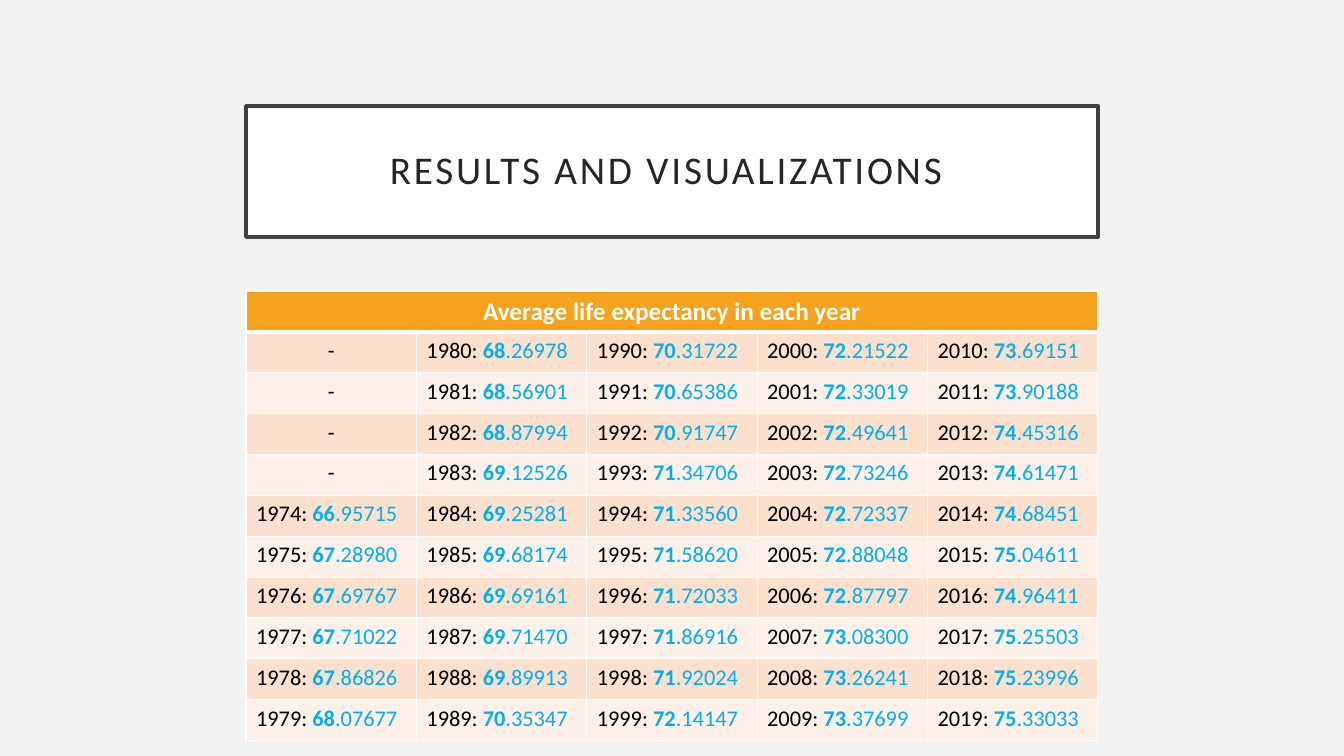
import pptx
import pptx.dml.color
import pptx.enum.shapes
import pptx.enum.text
import pptx.oxml.ns
import pptx.util
from lxml import etree

RGBColor = pptx.dml.color.RGBColor
Align = pptx.enum.text.PP_ALIGN
Anchor = pptx.enum.text.MSO_ANCHOR

BACKGROUND = RGBColor(0xF2, 0xF2, 0xF2)
WHITE = RGBColor(0xFF, 0xFF, 0xFF)
BLACK = RGBColor(0x00, 0x00, 0x00)
TITLE_TEXT = RGBColor(0x26, 0x26, 0x26)
TITLE_LINE = RGBColor(0x40, 0x40, 0x40)
HEADER_FILL = RGBColor(0xF6, 0xA2, 0x1D)
BANDS = (RGBColor(0xFB, 0xE0, 0xCD), RGBColor(0xFD, 0xF0, 0xE8))
VALUE_TEXT = RGBColor(0x00, 0xB0, 0xF0)

EMU_PER_PX = 914400 / 100.8
LEFT, WIDTH = 246, 852

# First year of each column and its values; the first column starts late
LIFE_EXPECTANCY = {
    1970: ["-", "-", "-", "-", "66.95715",
           "67.28980", "67.69767", "67.71022", "67.86826", "68.07677"],
    1980: ["68.26978", "68.56901", "68.87994", "69.12526", "69.25281",
           "69.68174", "69.69161", "69.71470", "69.89913", "70.35347"],
    1990: ["70.31722", "70.65386", "70.91747", "71.34706", "71.33560",
           "71.58620", "71.72033", "71.86916", "71.92024", "72.14147"],
    2000: ["72.21522", "72.33019", "72.49641", "72.73246", "72.72337",
           "72.88048", "72.87797", "73.08300", "73.26241", "73.37699"],
    2010: ["73.69151", "73.90188", "74.45316", "74.61471", "74.68451",
           "75.04611", "74.96411", "75.25503", "75.23996", "75.33033"],
}


def px(length):
    return pptx.util.Emu(round(length * EMU_PER_PX))


class SlideBuilder:
    font = "Calibri"

    def __init__(self, slide):
        self.slide = slide

    def background(self, color):
        fill = self.slide.background.fill
        fill.solid()
        fill.fore_color.rgb = color

    def run(self, paragraph, text, size, color, bold=False):
        run = paragraph.add_run()
        run.text = text
        run.font.name = self.font
        run.font.size = pptx.util.Pt(size)
        run.font.bold = bold
        run.font.color.rgb = color
        return run

    def title(self, text, left, top, width, height):
        box = self.slide.shapes.add_shape(
            pptx.enum.shapes.MSO_SHAPE.RECTANGLE,
            px(left), px(top), px(width), px(height))
        box.shadow.inherit = False
        box.fill.solid()
        box.fill.fore_color.rgb = WHITE
        box.line.color.rgb = TITLE_LINE
        box.line.width = pptx.util.Pt(2.5)
        frame = box.text_frame
        frame.word_wrap = True
        frame.vertical_anchor = Anchor.MIDDLE
        frame.margin_left = frame.margin_right = px(20)
        frame.margin_top = frame.margin_bottom = px(20)
        paragraph = frame.paragraphs[0]
        paragraph.alignment = Align.CENTER
        paragraph.line_spacing = 0.9
        run = self.run(paragraph, text, 28, TITLE_TEXT)
        run.font._element.set("spc", "200")

    def table(self, rows, columns, left, top, width, height):
        return self.slide.shapes.add_table(
            rows, columns, px(left), px(top), px(width), px(height)).table

    def cell(self, cell, fill, top_line=1, bottom_line=1):
        properties = cell._tc.get_or_add_tcPr()
        lines = {"lnL": 1, "lnR": 1, "lnT": top_line, "lnB": bottom_line}
        for side, points in lines.items():
            line = etree.SubElement(properties, pptx.oxml.ns.qn(f"a:{side}"),
                                    w=str(pptx.util.Pt(points)))
            solid = etree.SubElement(line, pptx.oxml.ns.qn("a:solidFill"))
            etree.SubElement(solid, pptx.oxml.ns.qn("a:srgbClr"), val=str(WHITE))
        cell.fill.solid()
        cell.fill.fore_color.rgb = fill
        return cell.text_frame.paragraphs[0]


def main():
    deck = pptx.Presentation()
    deck.slide_width, deck.slide_height = px(1344), px(756)
    builder = SlideBuilder(deck.slides.add_slide(deck.slide_layouts[6]))
    builder.background(BACKGROUND)

    # Title box
    builder.title("RESULTS AND VISUALIZATIONS ", LEFT, 106, WIDTH, 131)

    # Table header, spanning all decades
    decades = len(LIFE_EXPECTANCY)
    years = builder.table(11, decades, LEFT, 291, WIDTH, 450)
    header, *_ = [builder.cell(years.cell(0, column), HEADER_FILL, bottom_line=3)
                  for column in range(decades)]
    years.cell(0, 0).merge(years.cell(0, decades - 1))
    header.alignment = Align.CENTER
    builder.run(header, "Average life expectancy in each year", 18, WHITE, bold=True)

    # One column per decade, one row per year
    for column, (decade, values) in enumerate(LIFE_EXPECTANCY.items()):
        for offset, value in enumerate(values):
            entry = builder.cell(years.cell(offset + 1, column), BANDS[offset % 2],
                                 top_line=3 if offset == 0 else 1)
            if value == "-":
                entry.alignment = Align.CENTER
                builder.run(entry, value, 16, BLACK)
                continue
            whole, decimals = value.split(".")
            builder.run(entry, f"{decade + offset}: ", 16, BLACK)
            builder.run(entry, whole, 16, VALUE_TEXT, bold=True)
            builder.run(entry, f".{decimals}", 16, VALUE_TEXT)

    deck.save("out.pptx")


if __name__ == "__main__":
    main()
